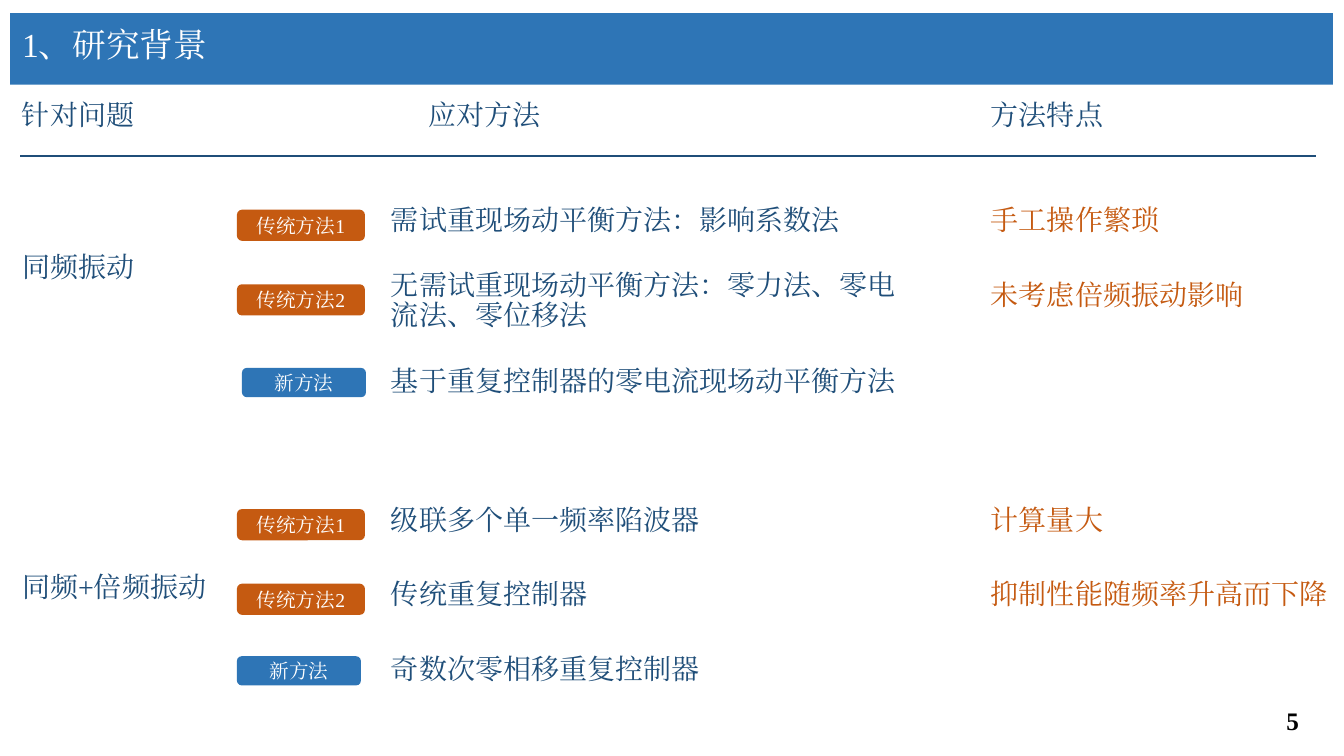
from pptx import Presentation
from pptx.dml.color import RGBColor
from pptx.enum.shapes import MSO_CONNECTOR as Connector, MSO_SHAPE as Shape
from pptx.enum.text import MSO_ANCHOR as Anchor, PP_ALIGN as Align
from pptx.oxml.ns import qn
from pptx.util import Inches, Pt
from lxml import etree

THEME = {
    "font": "Times New Roman",
    "navy": RGBColor.from_string("1F4E79"),
    "blue": RGBColor.from_string("2E75B6"),
    "orange": RGBColor.from_string("C55A11"),
    "white": RGBColor.from_string("FFFFFF"),
    "black": RGBColor.from_string("000000"),
    "title": 24, "body": 20, "number": 18, "badge": 14,
}

# Grid in inches: column lefts, first row centre of each group, row pitch
PROBLEM, BADGE, METHOD, FEATURE = 0.12, 2.35, 3.78, 9.73
SLIDE_WIDTH, SLIDE_HEIGHT = 13.33, 7.5
LINE_HEIGHT, TWO_LINES, ROW_PITCH = 0.47, 0.66, 0.74
FEATURE_WIDTH = SLIDE_WIDTH - FEATURE

deck = Presentation()
deck.slide_width, deck.slide_height = Inches(SLIDE_WIDTH), Inches(SLIDE_HEIGHT)
page = deck.slides.add_slide(deck.slide_layouts[6])


def add_text(text, left, middle, width, height=LINE_HEIGHT, shape=None, fill=None,
             size="body", color="navy", bold=False, spacing=0.9, align=Align.LEFT):
    """Add a text box, or a filled shape with text, centred on a height."""
    area = [Inches(n) for n in (left, middle - height / 2, width, height)]
    if shape is None:
        box = page.shapes.add_textbox(*area)
    else:
        box = page.shapes.add_shape(shape, *area)
        box.shadow.inherit = False
        box.fill.solid()
        box.fill.fore_color.rgb = THEME[fill]
        box.line.fill.background()
    if not text:
        return
    frame = box.text_frame
    frame.word_wrap = True
    frame.vertical_anchor = Anchor.MIDDLE if shape else Anchor.TOP
    para = frame.paragraphs[0]
    para.alignment, para.line_spacing = align, spacing
    span = para.add_run()
    span.text = text
    font = span.font
    font.name, font.size, font.bold = THEME["font"], Pt(THEME[size]), bold
    font.color.rgb = THEME[color]
    properties = span._r.get_or_add_rPr()
    etree.SubElement(properties, qn("a:ea")).set("typeface", THEME["font"])


# Title bar
add_text("", 0.1, 0.485, 13.12, 0.71, shape=Shape.RECTANGLE, fill="blue")
add_text("1、研究背景", PROBLEM, 0.465, 2.25, size="title", color="white")

# Column headings and rule
for heading, left in (("针对问题", PROBLEM), ("应对方法", 4.15), ("方法特点", FEATURE)):
    add_text(heading, left, 1.195, 2.3)
rule = page.shapes.add_connector(
    Connector.STRAIGHT, Inches(0.2), Inches(1.55), Inches(13.05), Inches(1.55))
rule.line.color.rgb, rule.line.width = THEME["navy"], Pt(1.5)
etree.SubElement(rule._element.spPr, qn("a:effectLst"))

# Groups: problem, its middle, first row, shift of the new method (right, down), rows
groups = [
    ("同频振动", 2.695, 2.235, (0.05, 0.11), [
        ("传统方法1", "需试重现场动平衡方法：影响系数法", "手工操作繁琐"),
        ("传统方法2", "无需试重现场动平衡方法：零力法、零电流法、零位移法", "未考虑倍频振动影响"),
        ("新方法", "基于重复控制器的零电流现场动平衡方法", None)]),
    ("同频+倍频振动", 5.875, 5.205, (0, 0), [
        ("传统方法1", "级联多个单一频率陷波器", "计算量大"),
        ("传统方法2", "传统重复控制器", "抑制性能随频率升高而下降"),
        ("新方法", "奇数次零相移重复控制器", None)]),
]
for problem, problem_middle, first_row, (right, down), rows in groups:
    add_text(problem, PROBLEM, problem_middle, 2.85)
    for index, (badge, method, feature) in enumerate(rows):
        middle = first_row + index * ROW_PITCH
        badge_format = dict(shape=Shape.ROUNDED_RECTANGLE, size="badge", color="white",
                            spacing=1.0, align=Align.CENTER)
        if feature:
            add_text(badge, BADGE, middle, 1.27, 0.31, fill="orange", **badge_format)
            add_text(feature, FEATURE, middle, FEATURE_WIDTH, color="orange")
        else:
            middle += down
            add_text(badge, BADGE + right, middle - 0.03, 1.23, 0.29, fill="blue",
                     **badge_format)
        wraps = len(method) > 20
        add_text(method, METHOD, middle, 5.3, TWO_LINES if wraps else LINE_HEIGHT)

# Page number
add_text("5", 12.66, 7.15, 0.51, 0.4, size="number", color="black", bold=True, spacing=1.0)

deck.save("out.pptx")
